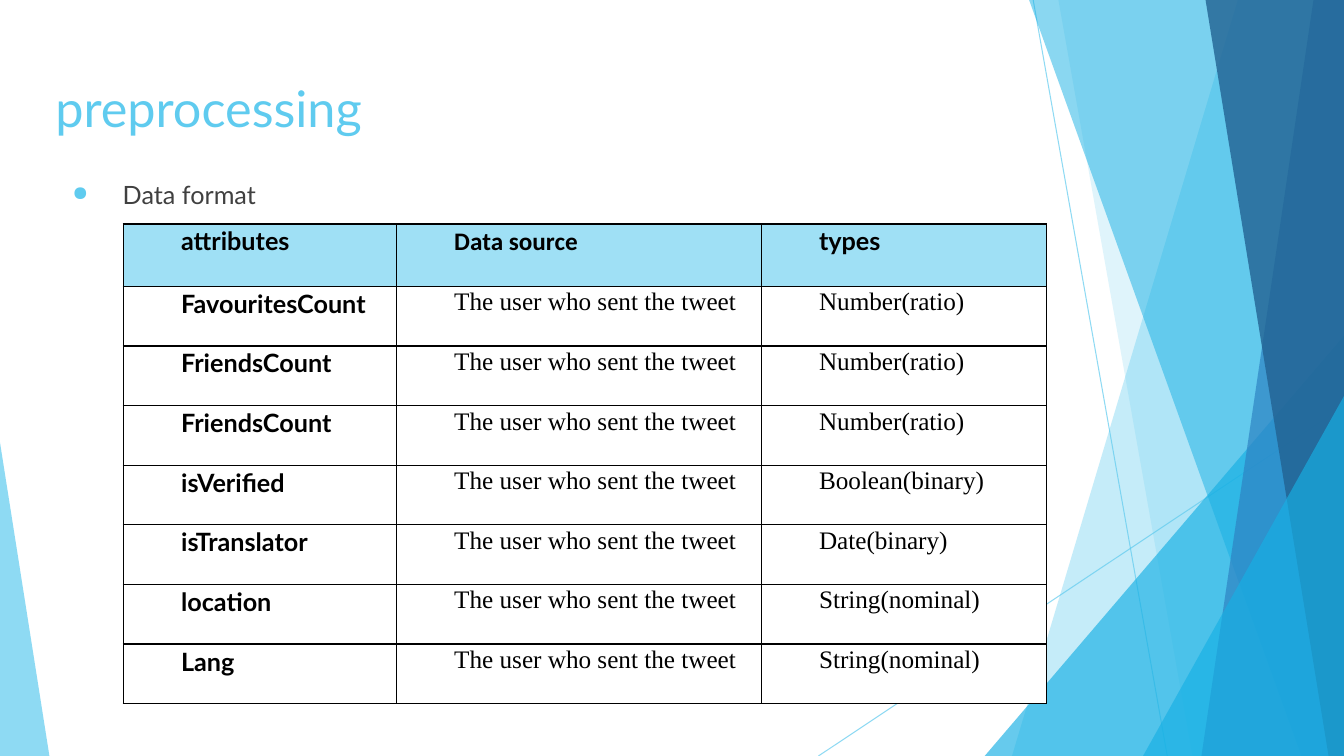
from dataclasses import dataclass

from lxml.etree import SubElement
from pptx import Presentation
from pptx.dml.color import RGBColor
from pptx.enum.shapes import MSO_CONNECTOR, MSO_SHAPE
from pptx.enum.text import MSO_ANCHOR
from pptx.oxml import parse_xml
from pptx.oxml.ns import nsdecls, qn
from pptx.util import Pt


@dataclass(frozen=True)
class Theme:
    sky: str = "5FCBEF"
    cyan: str = "17B0E4"
    blue: str = "2E83C3"
    navy: str = "226292"
    header: str = "9FE0F5"
    white: str = "FFFFFF"
    black: str = "000000"
    body: str = "404040"
    title_size: int = 36
    text_size: int = 18
    font: str = "Lato"
    header_font: str = "Calibri"
    cell_font: str = "Times New Roman"


THEME = Theme()
WIDTH, HEIGHT = 960, 540

# Decoration from back to front: bands run from their left edge to the slide's right side
LINES = [((738, 0), (833.8, HEIGHT)), ((WIDTH, 290.2), (584.6, HEIGHT))]
DECORATION = [
    ("band", (884.2, 722.9), THEME.sky, 36),
    ("band", (756, 851.8), THEME.sky, 20),
    ("triangle", (703.4, 239.8, 256.6, 300.2, 1), THEME.cyan, 66),
    ("band", (735.1, 929.5), THEME.cyan, 50),
    ("band", (938.2, 858.2), THEME.blue, 70),
    ("band", (861.1, 949), THEME.navy, 80),
    ("triangle", (816.5, 283, 143.5, 257, 1), THEME.cyan, 66),
    ("triangle", (0, 316.1, 35.3, 223.9, 0), THEME.sky, 70),
]

HEADERS = ["attributes", "Data source", "types"]
SOURCE = "The user who sent the tweet"
ATTRIBUTES = [
    ("FavouritesCount", "Number(ratio)"),
    ("FriendsCount", "Number(ratio)"),
    ("FriendsCount", "Number(ratio)"),
    ("isVerified", "Boolean(binary)"),
    ("isTranslator", "Date(binary)"),
    ("location", "String(nominal)"),
    ("Lang", "String(nominal)"),
]
COLUMN_WIDTHS = [195.1, 260.6, 203.8]
HEADER_HEIGHT, ROW_HEIGHT = 44.6, 42.6


def set_alpha(color_format_parent, percent):
    color = color_format_parent.find(".//" + qn("a:srgbClr"))
    SubElement(color, qn("a:alpha"), val=str(percent * 1000))


def add_thin_line(slide, start, end):
    points = [Pt(value) for value in (*start, *end)]
    connector = slide.shapes.add_connector(MSO_CONNECTOR.STRAIGHT, *points)
    connector.line.width = Pt(0.75)
    connector.line.color.rgb = RGBColor.from_string(THEME.sky)
    properties = connector._element.spPr
    set_alpha(properties, 70)
    SubElement(properties, qn("a:effectLst"))


def add_band(slide, top_left, bottom_left):
    builder = slide.shapes.build_freeform(Pt(top_left), 0)
    corners = [(WIDTH, 0), (WIDTH, HEIGHT), (bottom_left, HEIGHT)]
    builder.add_line_segments([(Pt(x), Pt(y)) for x, y in corners], close=True)
    return builder.convert_to_shape()


def add_triangle(slide, left, top, width, height, apex):
    shape = slide.shapes.add_shape(
        MSO_SHAPE.ISOSCELES_TRIANGLE, Pt(left), Pt(top), Pt(width), Pt(height))
    shape.adjustments[0] = apex
    return shape


def paint(shape, color, alpha):
    shape.shadow.inherit = False
    shape.fill.solid()
    shape.fill.fore_color.rgb = RGBColor.from_string(color)
    set_alpha(shape._element.spPr, alpha)
    shape.line.fill.background()


def format_runs(paragraph, size, font, color, bold=False):
    for run in paragraph.runs:
        run.font.size = Pt(size)
        run.font.name = font
        run.font.bold = bold
        run.font.color.rgb = RGBColor.from_string(color)


def set_indent(paragraph, left, first=0):
    properties = paragraph._p.get_or_add_pPr()
    properties.set("marL", str(Pt(left)))
    properties.set("indent", str(Pt(first)))
    return properties


def add_text(slide, text, top, height, anchor, size, color):
    box = slide.shapes.add_textbox(Pt(32.4), Pt(top), Pt(894.2), Pt(height))
    frame = box.text_frame
    frame.word_wrap = True
    frame.vertical_anchor = anchor
    frame.margin_left = frame.margin_right = Pt(7.2)
    frame.margin_top = frame.margin_bottom = Pt(7.2)
    frame.text = text
    paragraph = frame.paragraphs[0]
    format_runs(paragraph, size, THEME.font, color)
    return paragraph


def add_bullet(paragraph):
    properties = set_indent(paragraph, 48.2, -36)
    color = SubElement(properties, qn("a:buClr"))
    SubElement(color, qn("a:srgbClr"), val=THEME.sky)
    SubElement(properties, qn("a:buSzPct"), val="80000")
    SubElement(properties, qn("a:buChar"), char="●")


def add_borders(cell):
    properties = cell._tc.get_or_add_tcPr()
    for index, side in enumerate(("lnL", "lnR", "lnT", "lnB")):
        properties.insert(index, parse_xml(
            f'<a:{side} {nsdecls("a")} w="{Pt(1)}"><a:solidFill>'
            f'<a:srgbClr val="{THEME.black}"/></a:solidFill></a:{side}>'))


def fill_cell(cell, text, font, bold, background):
    cell.margin_left = cell.margin_right = Pt(5.4)
    cell.margin_top = cell.margin_bottom = 0
    cell.fill.solid()
    cell.fill.fore_color.rgb = RGBColor.from_string(background)
    add_borders(cell)
    cell.text_frame.text = text
    paragraph = cell.text_frame.paragraphs[0]
    set_indent(paragraph, 36)
    paragraph.line_spacing = 1.07
    paragraph.space_after = Pt(8)
    format_runs(paragraph, THEME.text_size, font, THEME.black, bold)


def add_attribute_table(slide):
    rows = [HEADERS] + [(name, SOURCE, kind) for name, kind in ATTRIBUTES]
    height = HEADER_HEIGHT + ROW_HEIGHT * len(ATTRIBUTES)
    table = slide.shapes.add_table(
        len(rows), len(HEADERS), Pt(88), Pt(160), Pt(sum(COLUMN_WIDTHS)), Pt(height)).table
    table.first_row = table.horz_banding = False
    for column, width in zip(table.columns, COLUMN_WIDTHS):
        column.width = Pt(width)
    for row_index, texts in enumerate(rows):
        is_header = row_index == 0
        table.rows[row_index].height = Pt(HEADER_HEIGHT if is_header else ROW_HEIGHT)
        background = THEME.header if is_header else THEME.white
        middle_font = THEME.header_font if is_header else THEME.cell_font
        last_font = THEME.font if is_header else THEME.cell_font
        fonts = (THEME.font, middle_font, last_font)
        for column_index, (text, font) in enumerate(zip(texts, fonts)):
            bold = is_header or column_index == 0
            fill_cell(table.cell(row_index, column_index), text, font, bold, background)


def main():
    presentation = Presentation()
    presentation.slide_width, presentation.slide_height = Pt(WIDTH), Pt(HEIGHT)
    slide = presentation.slides.add_slide(presentation.slide_layouts[6])

    # Background decoration
    for start, end in LINES:
        add_thin_line(slide, start, end)
    builders = {"band": add_band, "triangle": add_triangle}
    for kind, geometry, color, alpha in DECORATION:
        paint(builders[kind](slide, *geometry), color, alpha)

    # Title and bullet
    add_text(slide, "preprocessing", 46.8, 60.5, MSO_ANCHOR.MIDDLE,
             THEME.title_size, THEME.sky)
    bullet = add_text(slide, "Data format", 121, 358.6, MSO_ANCHOR.TOP,
                      THEME.text_size, THEME.body)
    add_bullet(bullet)

    # Table of attributes
    add_attribute_table(slide)
    presentation.save("out.pptx")


if __name__ == "__main__":
    main()
